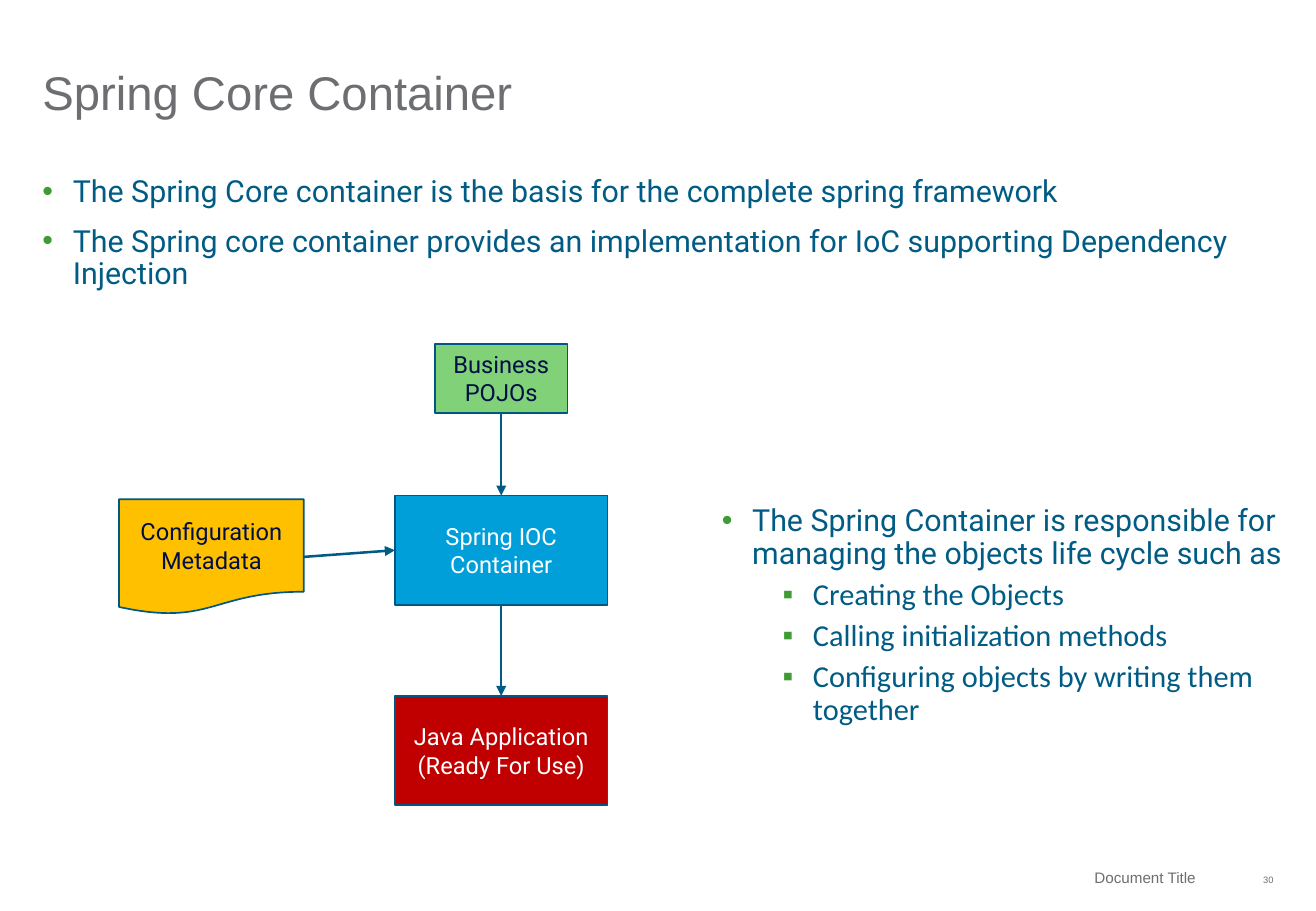
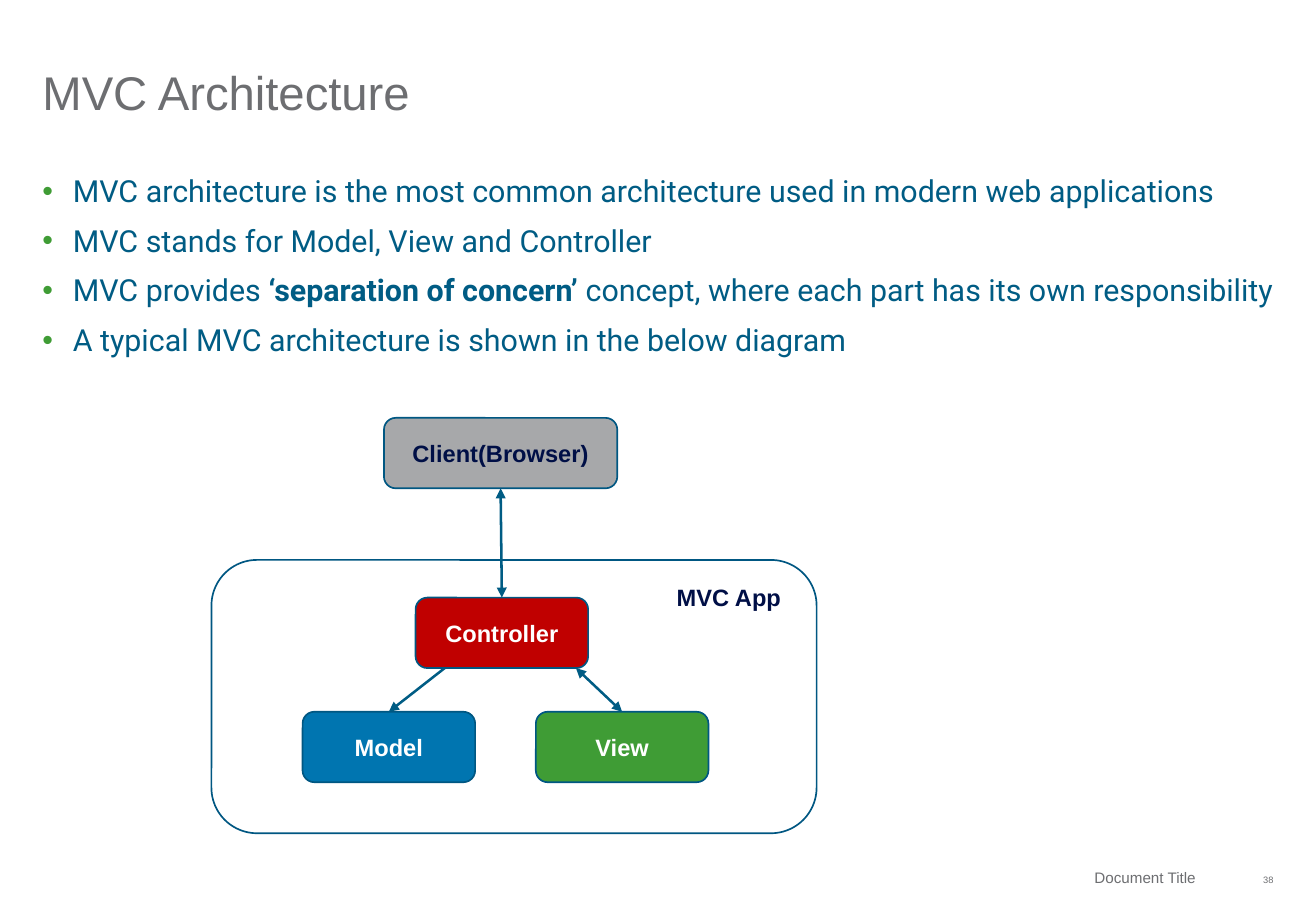
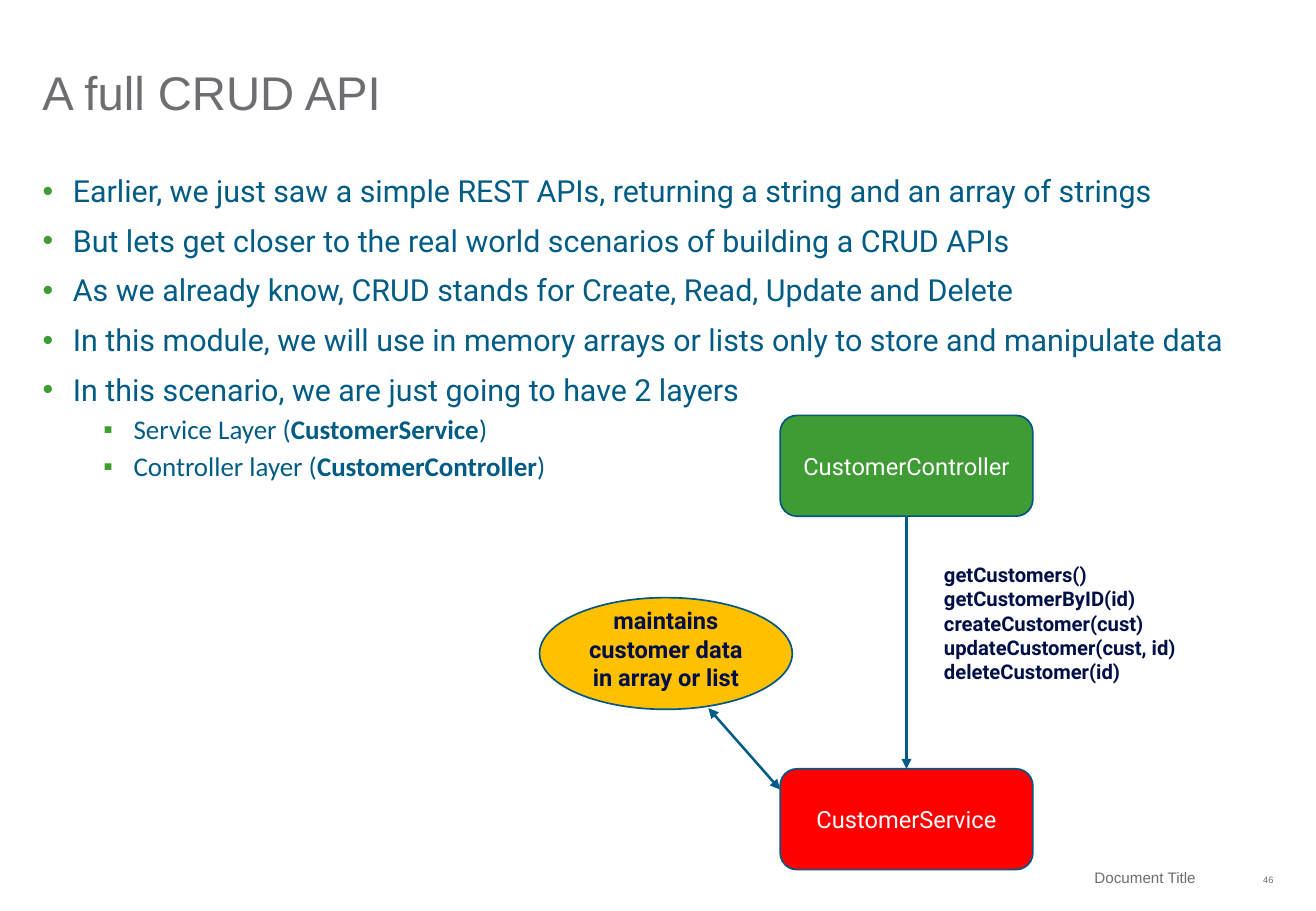
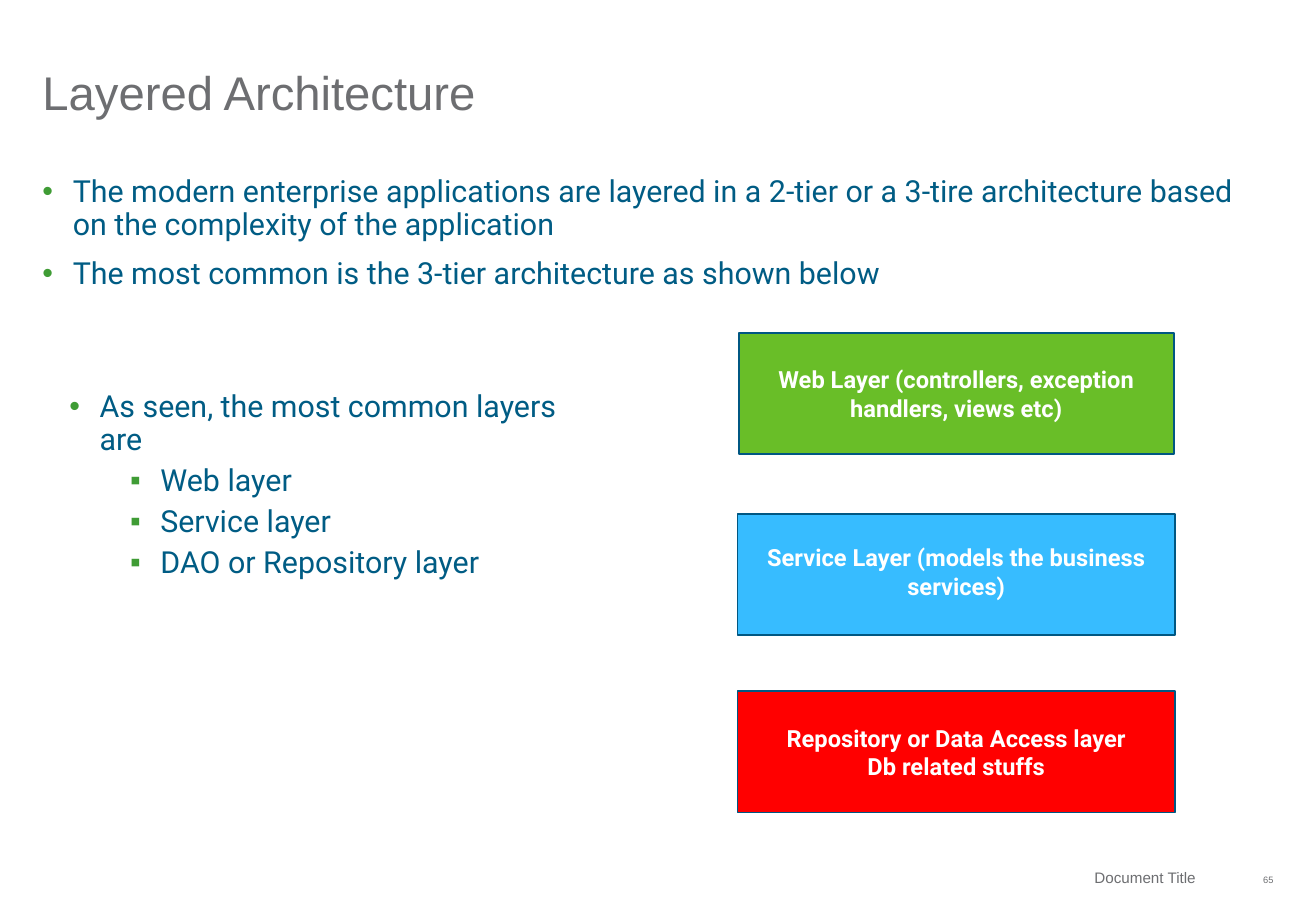
import pptx
import pptx.dml.color
import pptx.enum.shapes
import pptx.enum.text
import pptx.oxml.ns
import pptx.oxml.xmlchemy
import pptx.util

PX = 9144
Shape = pptx.enum.shapes.MSO_SHAPE
Align = pptx.enum.text.PP_ALIGN
Anchor = pptx.enum.text.MSO_ANCHOR
new_element = pptx.oxml.xmlchemy.OxmlElement
qn = pptx.oxml.ns.qn


class Theme:
    grey = "6D6E71"
    body = "005C84"
    outline = "005782"
    bullet = "3F9C35"
    navy = "000F46"
    white = "FFFFFF"
    blue = "009FDA"
    model_blue = "0075B0"
    sky = "37BCFF"
    crimson = "C00000"
    red = "FF0000"
    light_green = "81D178"
    green = "3F9C35"
    lime = "69BE28"
    amber = "FFC000"
    silver = "A7A8AA"
    plain = "Arial"
    text = "Roboto"
    sub = "Calibri"
    title_size = 28
    body_size = 18
    sub_size = 16
    node_size = 14
    code_size = 12
    footer_size = 9
    number_size = 5.5
    outline_width = 1
    arrow_width = 1.5


def write(frame, text, size, font, color, bold=False, align=Align.LEFT,
          anchor=Anchor.TOP, insets=(10, 5, 10, 5)):
    frame.word_wrap = True
    frame.vertical_anchor = anchor
    (frame.margin_left, frame.margin_top,
     frame.margin_right, frame.margin_bottom) = [side * PX for side in insets]
    frame.text = text
    for paragraph in frame.paragraphs:
        paragraph.alignment = align
        for run in paragraph.runs:
            run.font.size = pptx.util.Pt(size)
            run.font.name = font
            run.font.bold = bold
            run.font.color.rgb = pptx.dml.color.RGBColor.from_string(color)


def add_text(slide, at, text, size, font, color, **options):
    label = slide.shapes.add_textbox(*[length * PX for length in at])
    write(label.text_frame, text, size, font, color, **options)
    return label.text_frame


deck = [
    {
        "number": 30,
        "title": "Spring Core Container",
        "bullets": [
            ((35, 145, 1013, 564), Theme.text, Theme.body_size, [
                (0, "The Spring Core container is the basis for the complete spring framework"),
                (0, "The Spring core container provides an implementation for IoC supporting Dependency Injection"),
            ]),
            ((594, 416, 479, 283), Theme.sub, Theme.body_size, [
                (0, "The Spring Container is responsible for managing the objects life cycle such as"),
                (1, "Creating the Objects"),
                (1, "Calling initialization methods"),
                (1, "Configuring objects by writing them together"),
            ]),
        ],
        "node_font": Theme.text,
        "nodes": [
            (Shape.RECTANGLE, (325, 408, 175, 90), "Spring IOC Container", Theme.blue, Theme.white, False, 0),
            (Shape.RECTANGLE, (325, 573, 175, 90), "Java Application (Ready For Use)", Theme.crimson, Theme.white, False, 0),
            (Shape.RECTANGLE, (358, 283, 109, 57), "Business POJOs", Theme.light_green, Theme.navy, False, 0),
            (Shape.FLOWCHART_DOCUMENT, (98, 411, 152, 95), "Configuration Metadata", Theme.amber, Theme.navy, False, 0),
        ],
        "arrows": [
            (("Configuration Metadata", 3), ("Spring IOC Container", 1), False),
            (("Business POJOs", 2), ("Spring IOC Container", 0), False),
            (("Spring IOC Container", 2), ("Java Application (Ready For Use)", 0), False),
        ],
        "labels": [],
    },
    {
        "number": 38,
        "title": "MVC Architecture",
        "bullets": [
            ((35, 145, 1013, 572), Theme.text, Theme.body_size, [
                (0, "MVC architecture is the most common architecture used in modern web applications"),
                (0, "MVC stands for Model, View and Controller"),
                (0, "MVC provides **‘separation of concern’ **concept, where each part has its own responsibility"),
                (0, "A typical MVC architecture is shown in the below diagram"),
            ]),
        ],
        "node_font": Theme.plain,
        "nodes": [
            (Shape.ROUNDED_RECTANGLE, (174, 461, 498, 225), "", None, Theme.navy, False, 0),
            (Shape.ROUNDED_RECTANGLE, (316, 344, 192, 58), "Client(Browser)", Theme.silver, Theme.navy, True, 0),
            (Shape.ROUNDED_RECTANGLE, (342, 492, 142, 58), "Controller", Theme.crimson, Theme.white, True, 0),
            (Shape.ROUNDED_RECTANGLE, (441, 586, 142, 58), "View", Theme.green, Theme.white, True, 0),
            (Shape.ROUNDED_RECTANGLE, (249, 586, 142, 58), "Model", Theme.model_blue, Theme.white, True, 0),
        ],
        "arrows": [
            (("Client(Browser)", 2), ("Controller", 0), True),
            ((474, 550), ("View", 0), True),
            ((366, 550), ("Model", 0), False),
        ],
        "labels": [((547, 475, 132, 34), "MVC App", Theme.node_size, Theme.plain)],
    },
    {
        "number": 46,
        "title": "A full CRUD API",
        "bullets": [
            ((35, 145, 998, 597), Theme.sub, Theme.sub_size, [
                (0, "Earlier, we just saw a simple REST APIs, returning a string and an array of strings"),
                (0, "But lets get closer to the real world scenarios of building a CRUD APIs"),
                (0, "As we already know, CRUD stands for Create, Read, Update and Delete"),
                (0, "In this module, we will use in memory arrays or lists only to store and manipulate data"),
                (0, "In this scenario, we are just going to have 2 layers"),
                (1, "Service Layer (**CustomerService**)"),
                (1, "Controller layer (**CustomerController**)"),
            ]),
        ],
        "node_font": Theme.text,
        "nodes": [
            (Shape.ROUNDED_RECTANGLE, (642, 342, 208, 83), "CustomerController", Theme.green, Theme.white, False, 0),
            (Shape.ROUNDED_RECTANGLE, (642, 633, 208, 83), "CustomerService", Theme.red, Theme.white, False, 0),
            (Shape.OVAL, (444, 492, 208, 92), "maintains customer data in array or list", Theme.amber, Theme.navy, True, 8),
        ],
        "arrows": [
            (("CustomerController", 2), ("CustomerService", 0), False),
            ((583, 583), (642, 650), True),
        ],
        "labels": [
            ((767, 458, 225, 135),
             "getCustomers()\ngetCustomerByID(id)\ncreateCustomer(cust)\n"
             "updateCustomer(cust, id)\ndeleteCustomer(id)",
             Theme.code_size, Theme.text),
        ],
    },
    {
        "number": 65,
        "title": "Layered Architecture",
        "bullets": [
            ((35, 145, 1013, 530), Theme.text, Theme.body_size, [
                (0, "The modern enterprise applications are layered in a 2-tier or a 3-tire architecture based on the complexity of the application"),
                (0, "The most common is the 3-tier architecture as shown below"),
            ]),
            ((57, 322, 418, 261), Theme.text, Theme.body_size, [
                (0, "As seen, the most common layers are"),
                (1, "Web layer"),
                (1, "Service layer"),
                (1, "DAO or Repository layer"),
            ]),
        ],
        "node_font": Theme.text,
        "nodes": [
            (Shape.RECTANGLE, (608, 274, 358, 100), "Web Layer (controllers, exception handlers, views etc)", Theme.lime, Theme.white, True, 0),
            (Shape.RECTANGLE, (607, 423, 360, 100), "Service Layer (models the business services)", Theme.sky, Theme.white, True, 5),
            (Shape.RECTANGLE, (607, 569, 360, 100), "Repository or Data Access layer\nDb related stuffs", Theme.red, Theme.white, True, 0),
        ],
        "arrows": [],
        "labels": [],
    },
]

presentation = pptx.Presentation()
presentation.slide_width = 1083 * PX
presentation.slide_height = 750 * PX

for topic in deck:
    slide = presentation.slides.add_slide(presentation.slide_layouts[6])

    add_text(slide, (1009, 708, 39, 33), str(topic["number"]), Theme.number_size,
             Theme.plain, Theme.grey, align=Align.RIGHT, anchor=Anchor.MIDDLE, insets=(0, 0, 0, 0))
    add_text(slide, (619, 708, 380, 28), "Document Title", Theme.footer_size,
             Theme.plain, Theme.grey, align=Align.RIGHT, anchor=Anchor.MIDDLE, insets=(0, 0, 15, 0))
    heading = add_text(slide, (35, 22, 1013, 77), topic["title"], Theme.title_size,
                       Theme.plain, Theme.grey, anchor=Anchor.BOTTOM, insets=(0, 0, 0, 0))
    heading.paragraphs[0].line_spacing = 0.9

    for at, sub_font, sub_size, points in topic["bullets"]:
        body = add_text(slide, at, "", Theme.body_size, Theme.text, Theme.body, insets=(0, 0, 0, 0))
        for index, (level, sentence) in enumerate(points):
            point = body.add_paragraph() if index else body.paragraphs[0]
            point.level = level
            point.line_spacing = 0.9
            point.space_before = pptx.util.Pt(5 if level else 10)
            for part, phrase in enumerate(sentence.split("**")):
                run = point.add_run()
                run.text = phrase
                run.font.bold = part % 2 == 1
                run.font.name = sub_font if level else Theme.text
                run.font.size = pptx.util.Pt(sub_size if level else Theme.body_size)
                run.font.color.rgb = pptx.dml.color.RGBColor.from_string(Theme.body)
            properties = point._p.get_or_add_pPr()
            properties.set("marL", str((75 if level else 25) * PX))
            properties.set("indent", str(-25 * PX))
            bullet_color = new_element("a:buClr")
            swatch = new_element("a:srgbClr")
            swatch.set("val", Theme.bullet)
            bullet_color.append(swatch)
            bullet_font = new_element("a:buFont")
            bullet_font.set("typeface", Theme.plain)
            bullet_mark = new_element("a:buChar")
            bullet_mark.set("char", "▪" if level else "•")
            properties.extend([bullet_color, bullet_font, bullet_mark])

    nodes = {}
    for outline, at, caption, fill, ink, bold, lift in topic["nodes"]:
        node = slide.shapes.add_shape(outline, *[length * PX for length in at])
        node.shadow.inherit = False
        node.line.color.rgb = pptx.dml.color.RGBColor.from_string(Theme.outline)
        node.line.width = pptx.util.Pt(Theme.outline_width)
        if fill:
            node.fill.solid()
            node.fill.fore_color.rgb = pptx.dml.color.RGBColor.from_string(fill)
        else:
            node.fill.background()
        write(node.text_frame, caption, Theme.node_size, topic["node_font"], ink,
              bold=bold, align=Align.CENTER, anchor=Anchor.MIDDLE, insets=(10, 5, 10, 5 + lift))
        nodes[caption] = node

    for start, end, two_way in topic["arrows"]:
        arrow = slide.shapes.add_connector(pptx.enum.shapes.MSO_CONNECTOR.STRAIGHT, 0, 0, 0, 0)
        if start[0] in nodes:
            arrow.begin_connect(nodes[start[0]], start[1])
        else:
            arrow.begin_x, arrow.begin_y = start[0] * PX, start[1] * PX
        if end[0] in nodes:
            arrow.end_connect(nodes[end[0]], end[1])
        else:
            arrow.end_x, arrow.end_y = end[0] * PX, end[1] * PX
        arrow.line.color.rgb = pptx.dml.color.RGBColor.from_string(Theme.body)
        arrow.line.width = pptx.util.Pt(Theme.arrow_width)
        stroke = arrow.get_or_add_ln()
        for tip in ["a:headEnd", "a:tailEnd"] if two_way else ["a:tailEnd"]:
            arrowhead = new_element(tip)
            arrowhead.set("type", "triangle")
            stroke.append(arrowhead)
        arrow._element.find(qn("p:spPr")).append(new_element("a:effectLst"))

    for at, caption, size, font in topic["labels"]:
        add_text(slide, at, caption, size, font, Theme.navy, bold=True)

presentation.save("out.pptx")
